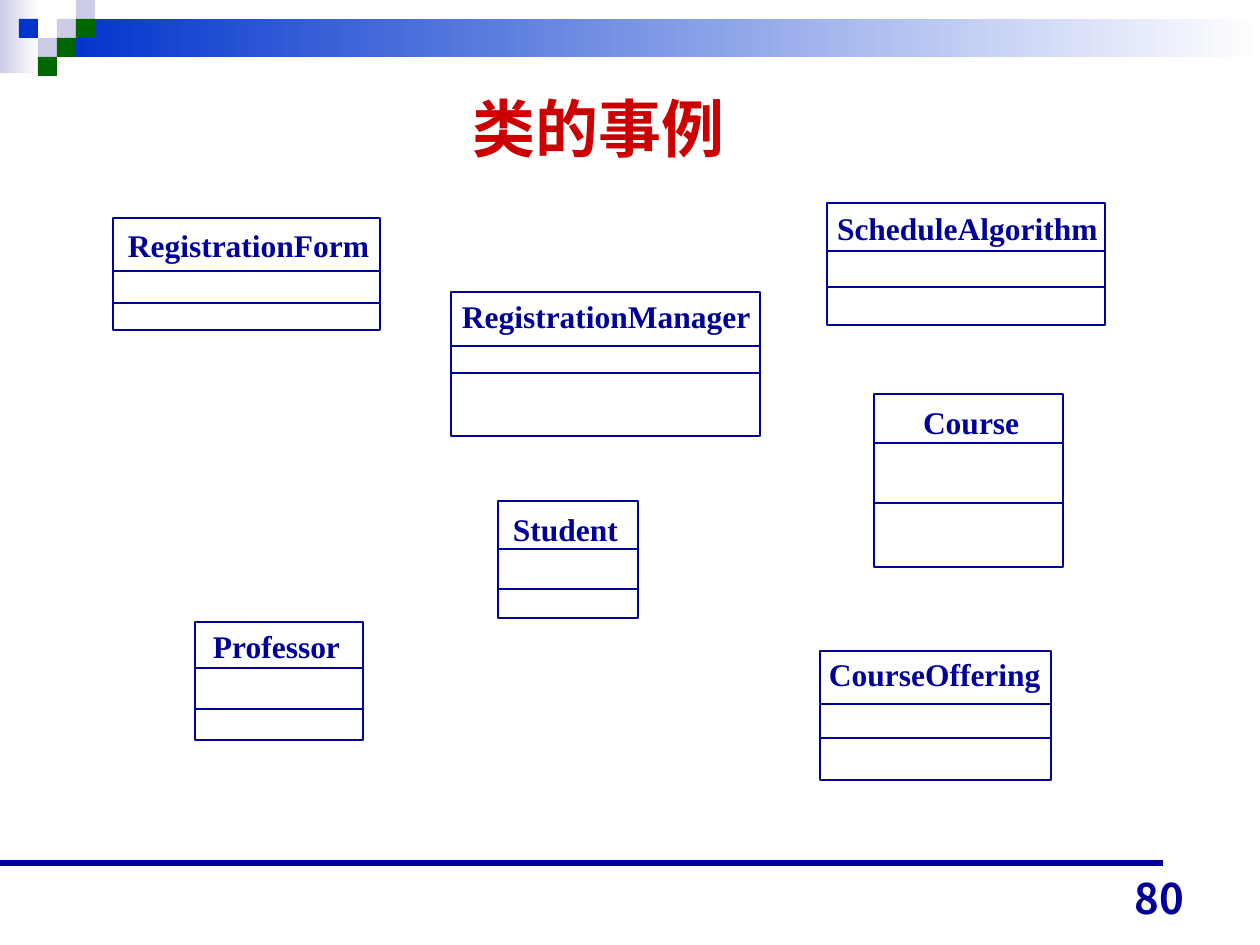
from dataclasses import dataclass

from lxml.etree import SubElement
from pptx import Presentation
from pptx.dml.color import RGBColor
from pptx.enum.shapes import MSO_CONNECTOR as Connector, MSO_SHAPE as Shape
from pptx.enum.text import MSO_ANCHOR as Anchor, MSO_AUTO_SIZE as AutoSize, PP_ALIGN as Align
from pptx.oxml.ns import qn
from pptx.util import Pt


@dataclass(frozen=True)
class Theme:
    navy: str = "000099"
    blue: str = "0033CC"
    lavender: str = "CCCCE6"
    green: str = "006600"
    red: str = "CC0000"
    white: str = "FFFFFF"
    serif: str = "Times New Roman"
    sans: str = "Noto Sans CJK JP"
    title_size: int = 36
    label_size: int = 18
    number_size: int = 24
    thin: float = 1
    thick: float = 3.5


THEME = Theme()
EMU_PER_PX = 914400 / 126
SLIDE_SIZE = (1260, 945)
LABEL_HEIGHT = 38

# name, box, label (left, top, width) and dividers measured from the box corner
CLASSES = [
    ("RegistrationForm", (113, 218, 267, 112), (15, 8, 242), (53, 85)),
    ("RegistrationManager", (451, 292, 309, 144), (11, 5, 289), (54, 81)),
    ("Course", (874, 394, 189, 173), (49, 9, 96), (49, 109)),
    ("Student", (498, 501, 140, 117), (15, 9, 105), (48, 88)),
    ("CourseOffering", (820, 651, 231, 129), (9, 4, 212), (53, 87)),
    ("Professor", (195, 622, 168, 118), (18, 5, 127), (46, 87)),
    ("ScheduleAlgorithm", (827, 203, 278, 122), (10, 6, 261), (48, 84)),
]


def px(*lengths):
    return [round(length * EMU_PER_PX) for length in lengths]


def color(value):
    return RGBColor.from_string(value)


def add_rectangle(slide, box, fill=None, fade_to=None, line=None):
    """Draw a rectangle; fade_to makes the fill a left-to-right gradient."""
    shape = slide.shapes.add_shape(Shape.RECTANGLE, *px(*box))
    shape.shadow.inherit = False
    if fade_to:
        shape.fill.gradient()
        shape.fill.gradient_angle = 0
        for stop, value in zip(shape.fill.gradient_stops, (fill, fade_to)):
            stop.color.rgb = color(value)
    elif fill:
        shape.fill.solid()
        shape.fill.fore_color.rgb = color(fill)
    else:
        shape.fill.background()
    if line:
        shape.line.color.rgb = color(line)
        shape.line.width = Pt(THEME.thin)
    else:
        shape.line.fill.background()


def add_rule(slide, left, top, width, weight):
    rule = slide.shapes.add_connector(
        Connector.STRAIGHT, *px(left, top, left + width, top))
    rule.line.color.rgb = color(THEME.navy)
    rule.line.width = Pt(weight)
    SubElement(rule._element.spPr, qn("a:effectLst"))


def write_text(shape, text, size, font=THEME.serif, ink=THEME.navy, align=Align.LEFT,
               anchor=Anchor.TOP, margins=(0, 0), wrap=True):
    frame = shape.text_frame
    frame.auto_size = AutoSize.NONE
    frame.word_wrap = wrap
    frame.vertical_anchor = anchor
    frame.margin_left, frame.margin_right = px(margins[0], margins[0])
    frame.margin_top, frame.margin_bottom = px(margins[1], margins[1])
    paragraph = frame.paragraphs[0]
    paragraph.alignment = align
    run = paragraph.add_run()
    run.text = text
    run.font.name = font
    run.font.size = Pt(size)
    run.font.bold = True
    run.font.color.rgb = color(ink)
    SubElement(run.font._element, qn("a:ea"), typeface=THEME.sans)


def add_header(slide, box):
    left, top, width, height = box
    cell = height // 4
    add_rectangle(slide, (left, top, 39, 73), THEME.lavender, fade_to=THEME.white)
    add_rectangle(slide, (left + 3 * cell, top + cell, width - 3 * cell, 2 * cell),
                  THEME.blue, fade_to=THEME.white)
    squares = {
        THEME.lavender: [(3, 1), (4, 0), (2, 2)],
        THEME.green: [(4, 1), (3, 2), (2, 3)],
        THEME.blue: [(1, 1)],
    }
    for fill, places in squares.items():
        for column, row in places:
            add_rectangle(slide, (left + column * cell, top + row * cell, cell, cell), fill)


def add_title(slide, box, text):
    title = slide.shapes.title
    title.left, title.top, title.width, title.height = px(*box)
    write_text(title, text, THEME.title_size, ink=THEME.red, align=Align.CENTER,
               anchor=Anchor.MIDDLE, margins=(8, 3))


def add_class(slide, box, name, label, dividers):
    left, top, width, _ = box
    label_left, label_top, label_width = label
    add_rectangle(slide, box, line=THEME.navy)
    text_box = slide.shapes.add_textbox(
        *px(left + label_left, top + label_top, label_width, LABEL_HEIGHT))
    write_text(text_box, name, THEME.label_size, wrap=False)
    for divider in dividers:
        add_rule(slide, left, top + divider, width, THEME.thin)


def add_footer(slide, box, number):
    left, top, width, height = box
    add_rule(slide, left, top, 1163, THEME.thick)
    number_width = 294
    text_box = slide.shapes.add_textbox(
        *px(left + width - number_width, top + 3, number_width, height - 3))
    write_text(text_box, number, THEME.number_size, font=THEME.sans, align=Align.RIGHT,
               anchor=Anchor.BOTTOM, margins=(13, 6))


def main():
    presentation = Presentation()
    presentation.slide_width, presentation.slide_height = px(*SLIDE_SIZE)
    title_only = presentation.slide_layouts[5]
    slide = presentation.slides.add_slide(title_only)
    add_header(slide, (0, 0, SLIDE_SIZE[0], 76))
    add_title(slide, (149, 86, 898, 82), "类的事例")
    for name, box, label, dividers in CLASSES:
        add_class(slide, box, name, label, dividers)
    add_footer(slide, (0, 863, 1197, 66), "80")
    presentation.save("out.pptx")


if __name__ == "__main__":
    main()
